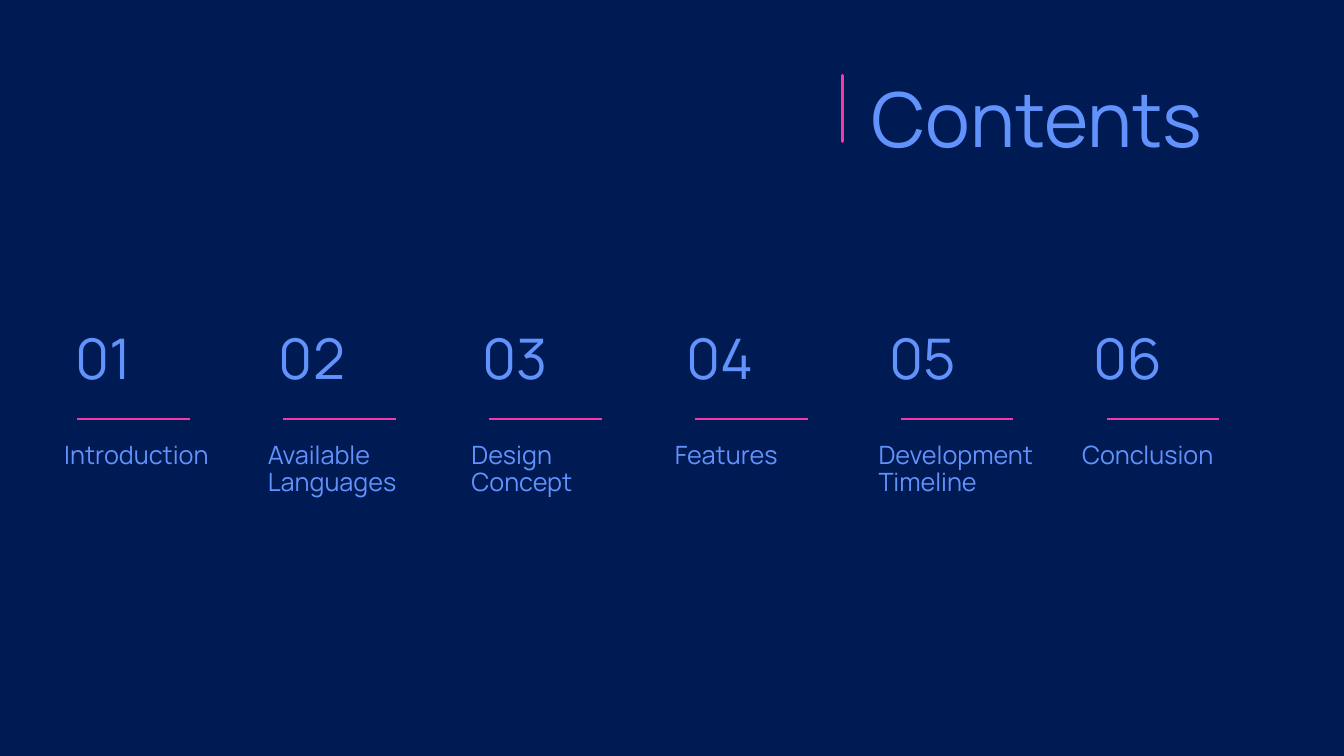
"""Build the contents slide with six numbered sections."""
from dataclasses import dataclass

from lxml import etree
from pptx import Presentation
from pptx import util as u
from pptx.dml.color import RGBColor
from pptx.enum import shapes, text
from pptx.oxml import ns
from pptx.shapes.connector import Connector
from pptx.slide import Slide
from pptx.text.text import Font

NAVY = RGBColor(0x00, 0x1A, 0x54)
BLUE = RGBColor(0x62, 0x92, 0xFB)
PINK = RGBColor(0xF4, 0x3A, 0xA9)
TYPEFACE = "Manrope"

SECTIONS = ("Introduction", "Available Languages", "Design Concept",
            "Features", "Development Timeline", "Conclusion")
NUMBER_LEFT, LABEL_LEFT, COLUMN_STEP = 1.7, 1.42, 5.13
RULE_LEFT, RULE_TOP, RULE_LENGTH, RULE_STEP = 1.95, 10.56, 2.83, 5.19


@dataclass(frozen=True)
class Box:
    """Place and insets of a text box, in centimetres."""
    left: float
    top: float
    width: float
    height: float
    insets: tuple[float, float, float, float]
    anchor: text.MSO_ANCHOR


def add_text(slide: Slide, box: Box, wording: str, size: float,
             spacing: float = 1.0) -> Font:
    """Add a text box and return the font of its run."""
    shape = slide.shapes.add_textbox(u.Cm(box.left), u.Cm(box.top),
                                     u.Cm(box.width), u.Cm(box.height))
    frame = shape.text_frame
    frame.word_wrap = True
    frame.vertical_anchor = box.anchor
    (frame.margin_left, frame.margin_top,
     frame.margin_right, frame.margin_bottom) = map(u.Cm, box.insets)
    frame.text = wording
    paragraph = frame.paragraphs[0]
    paragraph.line_spacing = spacing
    font = paragraph.runs[0].font
    font.name = TYPEFACE
    font.size = u.Pt(size)
    font.fill.solid()
    font.fill.fore_color.rgb = BLUE
    return font


def apply_gradient(font: Font) -> None:
    """Fill the text from blue to pink, left to right."""
    font.fill.gradient()
    font.fill.gradient_angle = 0
    for stop, color in zip(font.fill.gradient_stops, (BLUE, PINK)):
        stop.color.rgb = color


def add_line(slide: Slide, left: float, top: float, right: float,
             bottom: float, weight: float) -> Connector:
    """Add a straight pink line without a shadow."""
    line = slide.shapes.add_connector(shapes.MSO_CONNECTOR.STRAIGHT,
                                      u.Cm(left), u.Cm(top),
                                      u.Cm(right), u.Cm(bottom))
    line.line.color.rgb = PINK
    line.line.width = u.Pt(weight)
    etree.SubElement(line._element.spPr, ns.qn("a:effectLst"))
    return line


def add_section(slide: Slide, index: int, label: str) -> None:
    """Add one numbered section with its rule and label."""
    offset = index * COLUMN_STEP
    number_box = Box(NUMBER_LEFT + offset, 7.82, 4.17, 2.16,
                     (0.2, 0.2, 0, 0), text.MSO_ANCHOR.MIDDLE)
    apply_gradient(add_text(slide, number_box, f"{index + 1:02}", 40))
    label_box = Box(LABEL_LEFT + offset, 11.15, 4.7, 4.9,
                    (0.2, 0, 0, 0), text.MSO_ANCHOR.TOP)
    add_text(slide, label_box, label, 18, 0.9)
    rule_left = RULE_LEFT + index * RULE_STEP
    add_line(slide, rule_left, RULE_TOP, rule_left + RULE_LENGTH, RULE_TOP, 2)


def main() -> None:
    """Create and save the presentation."""
    presentation = Presentation()
    presentation.slide_width = u.Cm(33.87)
    presentation.slide_height = u.Cm(19.05)
    slide = presentation.slides.add_slide(presentation.slide_layouts[6])
    slide.background.fill.solid()
    slide.background.fill.fore_color.rgb = NAVY

    title_bar = add_line(slide, 21.23, 1.9, 21.23, 3.56, 2.25)
    title_bar._element.spPr.find(ns.qn("a:ln")).set("cap", "rnd")
    title_box = Box(21.72, 0.76, 11.91, 3.51,
                    (0.25, 0.13, 0.25, 0.13), text.MSO_ANCHOR.BOTTOM)
    apply_gradient(add_text(slide, title_box, "Contents", 54, 0.9))

    for index, label in enumerate(SECTIONS):
        add_section(slide, index, label)

    presentation.save("out.pptx")


if __name__ == "__main__":
    main()
